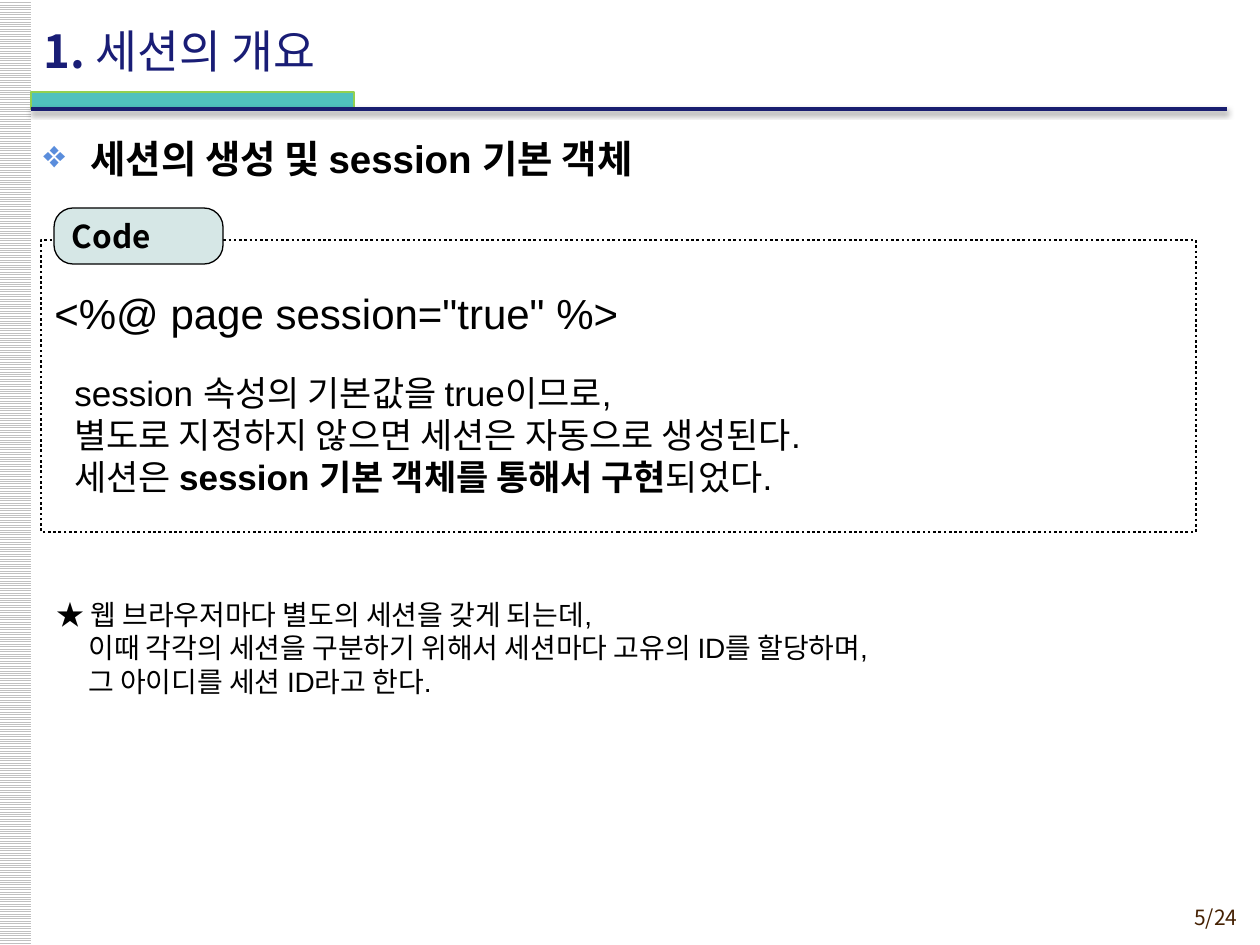
from pptx import Presentation
from pptx.dml.color import RGBColor
from pptx.enum.dml import MSO_LINE, MSO_PATTERN
from pptx.enum.shapes import MSO_CONNECTOR, MSO_SHAPE
from pptx.enum.text import MSO_ANCHOR, MSO_AUTO_SIZE, PP_ALIGN
from pptx.oxml import parse_xml
from pptx.oxml.ns import nsdecls
from pptx.util import Emu, Pt

RECT, ROUND = MSO_SHAPE.RECTANGLE, MSO_SHAPE.ROUNDED_RECTANGLE
STRAIGHT = MSO_CONNECTOR.STRAIGHT
DOTS = MSO_LINE.ROUND_DOT
STRIPES = MSO_PATTERN.LIGHT_HORIZONTAL
LEFT, RIGHT = PP_ALIGN.LEFT, PP_ALIGN.RIGHT
TOP, MIDDLE = MSO_ANCHOR.TOP, MSO_ANCHOR.MIDDLE
GROW, FIXED = MSO_AUTO_SIZE.SHAPE_TO_FIT_TEXT, MSO_AUTO_SIZE.NONE
SCALE = 914400 / 126
SANS, CJK = "Arial", "Noto Sans CJK KR"
COLORS = {
    "black": "000000", "white": "FFFFFF", "stripe": "C0C0C0",
    "teal": "50C1BE", "lime": "92D050", "navy": "191E70",
    "title": "191D76", "bullet": "5A8DDC", "tag": "D6E7E6",
    "page": "452103",
}


def px(num):
    return Emu(round(num * SCALE))


def rgb(name):
    return RGBColor.from_string(COLORS[name])


class Deck:
    def __init__(self, wide, high):
        self.prs = Presentation()
        self.prs.slide_width, self.prs.slide_height = px(wide), px(high)
        self.slide = self.prs.slides.add_slide(self.prs.slide_layouts[6])

    def shape(self, kind, box, fill=None, edge=None, width=0.75):
        item = self.slide.shapes.add_shape(kind, *map(px, box))
        item.shadow.inherit = False
        if fill:
            item.fill.solid()
            item.fill.fore_color.rgb = rgb(fill)
        else:
            item.fill.background()
        if edge:
            item.line.color.rgb = rgb(edge)
            item.line.width = Pt(width)
        else:
            item.line.fill.background()
        return item

    def strip(self, box):
        fill = self.shape(RECT, box).fill
        fill.patterned()
        fill.pattern = STRIPES
        fill.fore_color.rgb = rgb("stripe")
        fill.back_color.rgb = rgb("white")

    def rule(self, left, right, top):
        line = self.slide.shapes.add_connector(
            STRAIGHT, px(left), px(top), px(right), px(top))
        line.line.color.rgb = rgb("navy")
        line.line.width = Pt(2)
        line._element.spPr.append(parse_xml(
            f'<a:effectLst {nsdecls("a")}><a:outerShdw blurRad="40000" '
            'dist="20000" dir="5400000" rotWithShape="0">'
            f'<a:srgbClr val="{COLORS["black"]}"><a:alpha val="38000"/>'
            '</a:srgbClr></a:outerShdw></a:effectLst>'))

    def label(self, box, lines, **style):
        item = self.slide.shapes.add_textbox(*map(px, box))
        self.text(item, lines, **style)

    def text(self, item, lines, size, face=SANS, color="black", align=LEFT,
             anchor=TOP, wrap=True, fit=FIXED, hang=0, mark=None):
        frame = item.text_frame
        form = {"word_wrap": wrap, "vertical_anchor": anchor, "auto_size": fit}
        for key, value in form.items():
            setattr(frame, key, value)
        for row, runs in enumerate(lines):
            para = frame.add_paragraph() if row else frame.paragraphs[0]
            para.alignment = align
            if hang:
                props = para._p.get_or_add_pPr()
                props.set("marL", str(px(hang)))
                props.set("indent", str(0 if row else -px(hang)))
            if mark:
                self.bullet(para, mark)
            for words, bold in runs:
                run = para.add_run()
                run.text = words
                look = {"name": face, "size": Pt(size), "bold": bold}
                for key, value in look.items():
                    setattr(run.font, key, value)
                run.font.color.rgb = rgb(color)
                run._r.get_or_add_rPr().append(parse_xml(
                    f'<a:ea {nsdecls("a")} typeface="{CJK}"/>'))

    def bullet(self, para, mark):
        props = para._p.get_or_add_pPr()
        tint = f'<a:srgbClr val="{COLORS["bullet"]}"/>'
        for part in (f'<a:buClr {nsdecls("a")}>{tint}</a:buClr>',
                     f'<a:buChar {nsdecls("a")} char="{mark}"/>'):
            props.append(parse_xml(part))


def main():
    deck = Deck(1260, 945)
    deck.strip((-1, 0, 32, 945))
    deck.label((1116, 898, 134, 37), [[("5/24", False)]], size=12, face=CJK,
               color="page", align=RIGHT)
    deck.shape(RECT, (31, 92, 323, 17), "teal", "lime")
    deck.rule(31, 1227, 109)
    deck.label((31, 129, 1197, 788),
               [[("세션의 생성 및 session 기본 객체", True)]],
               size=22, hang=47, mark="❖")
    deck.label((31, 11, 1042, 79), [[("1. ", True), ("세션의 개요", False)]],
               size=26, face=CJK, color="title", anchor=MIDDLE)

    frame = deck.shape(RECT, (41, 240, 1155, 292), edge="black", width=1.5)
    frame.line.dash_style = DOTS
    tag = deck.shape(ROUND, (54, 208, 169, 56), "tag", "black")
    tag.adjustments[0] = 0.34
    deck.text(tag, [[("Code", True)]], size=18, face=CJK, anchor=MIDDLE,
              wrap=False)
    deck.label((42, 281, 1082, 63),
               [[('<%@ page session="true" %>', False)]], size=24, fit=GROW)
    deck.label((62, 365, 1075, 140), [
        [("session 속성의 기본값을 true이므로,", False)],
        [("별도로 지정하지 않으면 세션은 자동으로 생성된다.", False)],
        [("세션은 ", False), ("session 기본 객체를 통해서 구현", True),
         ("되었다.", False)],
    ], size=20, fit=GROW)
    deck.label((44, 591, 1142, 115), [
        [("★ 웹 브라우저마다 별도의 세션을 갖게 되는데,", False)],
        [("이때 각각의 세션을 구분하기 위해서 세션마다 고유의 ID를 할당하며,", False)],
        [("그 아이디를 세션 ID라고 한다.", False)],
    ], size=16, fit=GROW, hang=32)
    deck.prs.save("out.pptx")


if __name__ == "__main__":
    main()
